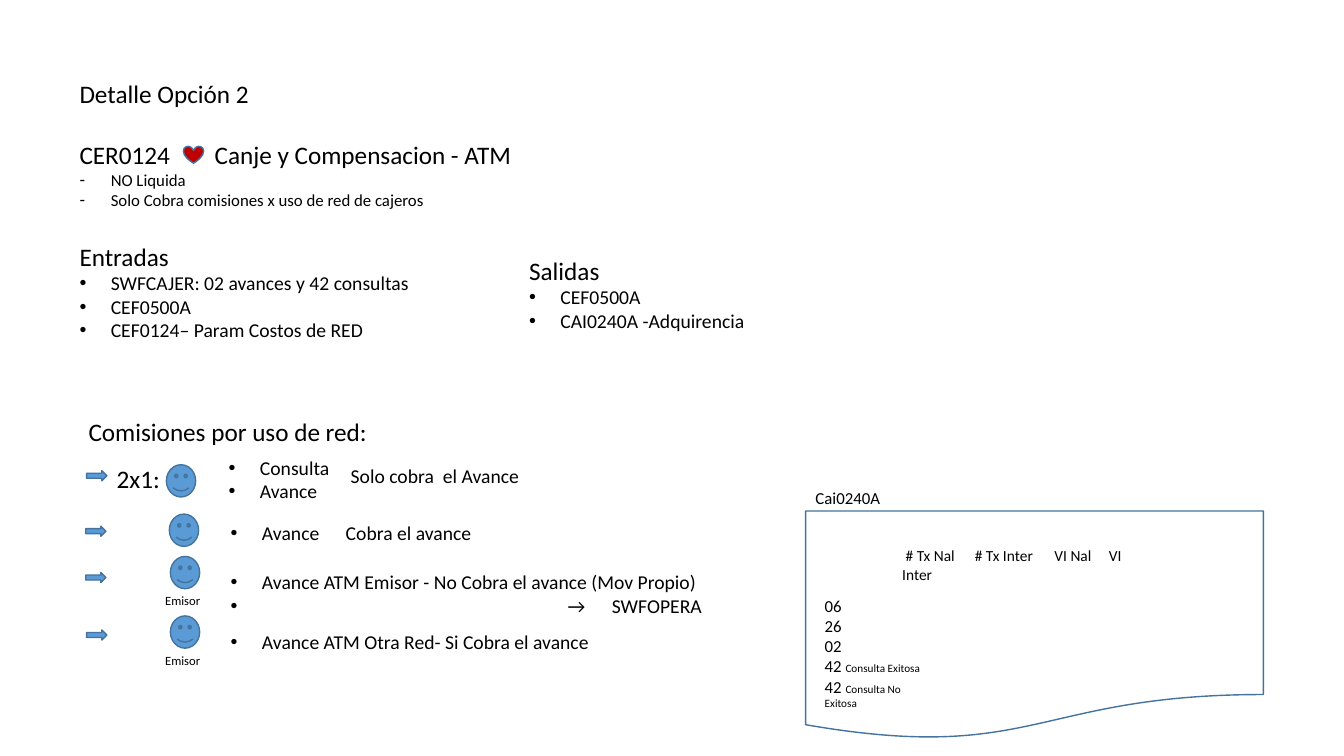
"""Build the slide that details option 2 for ATM fees."""
from dataclasses import dataclass
from lxml import etree
from pptx import Presentation, util as u
from pptx.dml.color import RGBColor
from pptx.enum import shapes
from pptx.oxml import ns


@dataclass(frozen=True)
class Theme:
    font: str = "Calibri"
    ink: RGBColor = RGBColor(0, 0, 0)
    blue: RGBColor = RGBColor(0x5B, 0x9B, 0xD5)
    outline: RGBColor = RGBColor(0x43, 0x73, 0x9E)
    red: RGBColor = RGBColor(0xC0, 0, 0)
    heading: int = 18
    body: int = 14
    note: int = 12
    column: int = 11
    label: int = 9
    small: int = 8
    gap: int = 22


theme = Theme()
presentation = Presentation()
presentation.slide_width = u.Inches(13.33)
presentation.slide_height = u.Inches(7.5)
slide = presentation.slides.add_slide(presentation.slide_layouts[6])
column = presentation.slide_width / 100
row = presentation.slide_height / 100
hanging = u.Inches(0.31)


def add_text(left, top, width, height, lines, wrap=True):
    box = slide.shapes.add_textbox(*map(int, (left * column, top * row, width * column, height * row)))
    box.text_frame.word_wrap = wrap
    for index, (content, size, *options) in enumerate(lines):
        options = options[0] if options else {}
        paragraph = box.text_frame.paragraphs[0] if index == 0 else box.text_frame.add_paragraph()
        properties = paragraph._p.get_or_add_pPr()
        if "bullet" in options:
            properties.set("marL", str(hanging))
            properties.set("indent", str(-hanging))
            etree.SubElement(properties, ns.qn("a:buFont"), typeface="Arial")
            etree.SubElement(properties, ns.qn("a:buChar"), char=options["bullet"])
        if "tabs" in options:
            tab_list = etree.SubElement(properties, ns.qn("a:tabLst"))
            for stop in options["tabs"]:
                etree.SubElement(tab_list, ns.qn("a:tab"), pos=str(u.Inches(stop)), algn="l")
        if "before" in options:
            paragraph.space_before = u.Pt(options["before"])
        paragraph.font.name = theme.font
        paragraph.font.size = u.Pt(size)
        paragraph.font.color.rgb = theme.ink
        paragraph.add_run().text = content
        if "small" in options:
            run = paragraph.add_run()
            run.text = options["small"]
            run.font.size = u.Pt(theme.small)


def add_figure(kind, left, top, width, height, fill=None):
    shape = slide.shapes.add_shape(kind, *map(int, (left * column, top * row, width * column, height * row)))
    shape.shadow.inherit = False
    if fill is None:
        shape.fill.background()
    else:
        shape.fill.solid()
        shape.fill.fore_color.rgb = fill
    shape.line.color.rgb = theme.outline
    shape.line.width = u.Pt(1)


dot = {"bullet": "•"}
dash = {"bullet": "-"}
preset = shapes.MSO_SHAPE

add_text(5.18, 9.73, 35, 40, [
    ("Detalle Opción 2", theme.heading),
    ("CER0124\tCanje y Compensacion - ATM", theme.heading, {"before": theme.gap, "tabs": [1.34]}),
    ("NO Liquida", theme.note, dash),
    ("Solo Cobra comisiones x uso de red de cajeros", theme.note, dash),
    ("Entradas", theme.heading, {"before": theme.gap}),
    ("SWFCAJER: 02 avances y 42 consultas", theme.body, dot),
    ("CEF0500A", theme.body, dot),
    ("CEF0124– Param Costos de RED", theme.body, dot),
])
add_figure(preset.HEART, 13.65, 19.33, 1.5, 2.27, theme.red)
add_text(38.63, 33.07, 51.16, 15.73, [
    ("Salidas", theme.heading),
    ("CEF0500A", theme.body, dot),
    ("CAI0240A -Adquirencia", theme.body, dot),
])

add_text(5.85, 54.4, 22.5, 5.33, [("Comisiones por uso de red:", theme.heading)], wrap=False)
add_text(7.95, 60.67, 8.33, 5.33, [("2x1:", theme.heading)])
add_text(16.28, 59.6, 9.08, 7.6, [("Consulta", theme.body, dot), ("Avance", theme.body, dot)], wrap=False)
add_text(25.36, 60.67, 28.66, 4.53, [("Solo cobra  el Avance", theme.body)])
add_text(16.43, 68.27, 27.46, 4.53, [("Avance\tCobra el avance", theme.body, {**dot, "tabs": [1.14]})])
add_text(16.43, 74.8, 42.16, 7.6, [
    ("Avance ATM Emisor - No Cobra el avance (Mov Propio)", theme.body, dot),
    ("\t→\tSWFOPERA", theme.body, {**dot, "tabs": [3.34, 3.78]}),
])
add_text(16.43, 82.67, 32.86, 4.53, [("Avance ATM Otra Red- Si Cobra el avance", theme.body, dot)])

for arrow_left, arrow_top, face_left, face_top in [
    (6.45, 62.27, 12.38, 61.47),
    (6.38, 69.6, 12.6, 68),
    (6.38, 75.73, 12.68, 73.6),
    (6.45, 83.33, 12.68, 81.47),
]:
    add_figure(preset.RIGHT_ARROW, arrow_left, arrow_top, 1.5, 1.33, theme.blue)
    add_figure(preset.SMILEY_FACE, face_left, face_top, 2.18, 4.27, theme.blue)
for label_top in (77.73, 85.73):
    add_text(11.55, label_top, 4.13, 3.33, [("Emisor", theme.label)], wrap=False)

add_figure(preset.FLOWCHART_DOCUMENT, 59.94, 67.6, 34.06, 30.27)
add_text(59.94, 63.87, 9.15, 4, [("Cai0240A", theme.note)])
add_text(60.62, 78.13, 9.3, 16.67, [
    *((code, theme.note) for code in ("06", "26", "02")),
    *(("42 ", theme.note, {"small": result}) for result in ("Consulta Exitosa", "Consulta No Exitosa")),
])
add_text(66.39, 71.6, 19.43, 6.53, [
    (" # Tx Nal\t# Tx Inter\tVI Nal\tVI Inter", theme.column, {"tabs": [0.72, 1.51, 2.05]}),
])

presentation.save("out.pptx")
